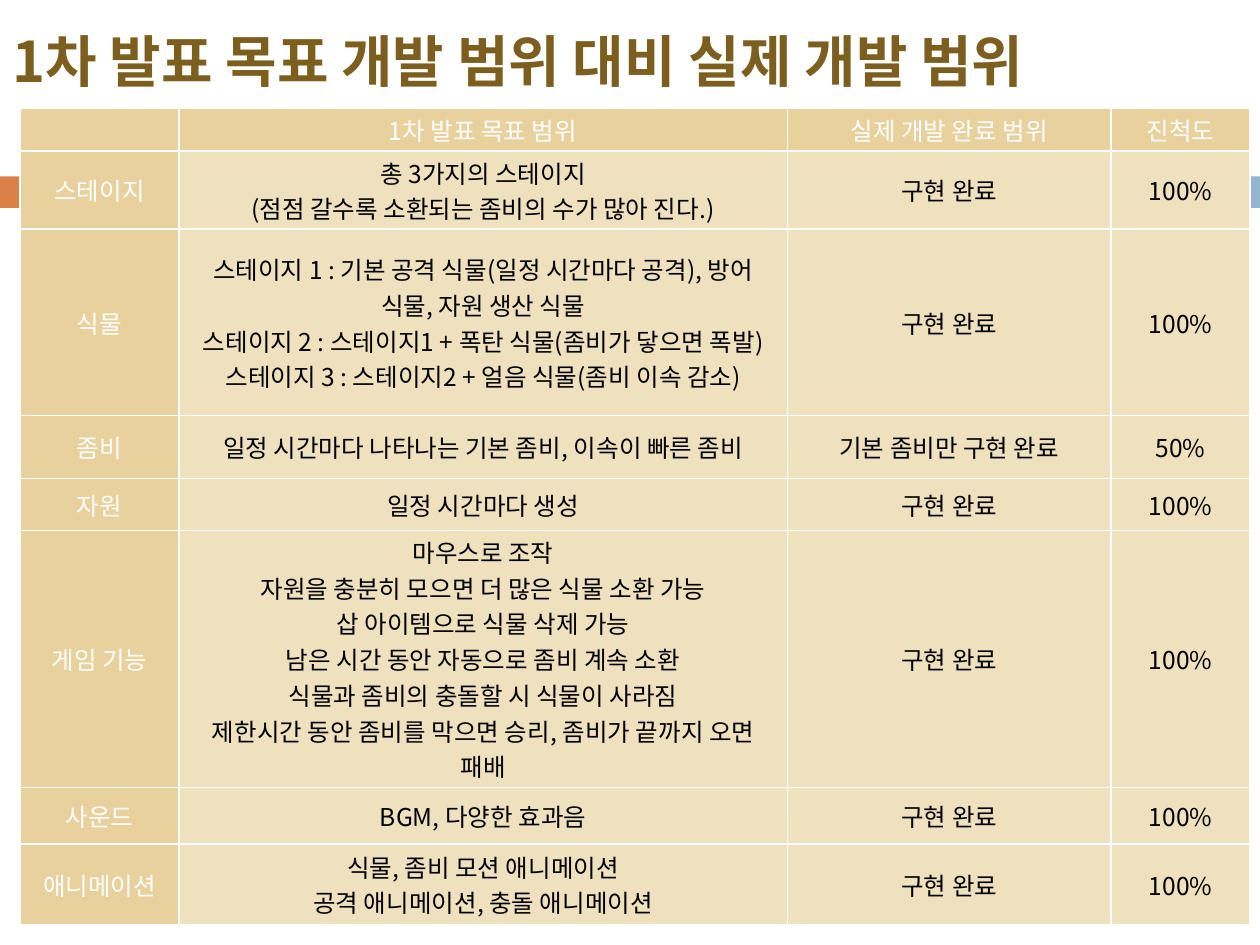
from pptx import Presentation
from pptx.dml.color import RGBColor as Rgb
from pptx.enum.shapes import MSO_SHAPE as Kind
from pptx.enum.text import MSO_ANCHOR as Anchor, MSO_AUTO_SIZE as Fit, PP_ALIGN as Align
from pptx.oxml import parse_xml as parse
from pptx.oxml.ns import nsdecls
from pptx.util import Inches, Pt

FONT = "Noto Sans CJK KR"
WHITE, BLACK = "FFFFFF", "000000"
HEAD, BODY = "E8D19D", "EFE0BE"
DONE = "구현 완료"
COLS = [1.26, 4.83, 2.57, 1.1]
ROWS = [
    (0.34, "", ["1차 발표 목표 범위"], "실제 개발 완료 범위", "진척도"),
    (0.62, "스테이지", ["총 3가지의 스테이지", "(점점 갈수록 소환되는 좀비의 수가 많아 진다.)"], DONE, "100%"),
    (1.48, "식물", [
        "스테이지 1 : 기본 공격 식물(일정 시간마다 공격), 방어 식물, 자원 생산 식물",
        "스테이지 2 : 스테이지1 + 폭탄 식물(좀비가 닿으면 폭발)",
        "스테이지 3 : 스테이지2 + 얼음 식물(좀비 이속 감소)",
    ], DONE, "100%"),
    (0.5, "좀비", ["일정 시간마다 나타나는 기본 좀비, 이속이 빠른 좀비"], "기본 좀비만 구현 완료", "50%"),
    (0.41, "자원", ["일정 시간마다 생성"], DONE, "100%"),
    (2.04, "게임 기능", [
        "마우스로 조작",
        "자원을 충분히 모으면 더 많은 식물 소환 가능",
        "삽 아이템으로 식물 삭제 가능",
        "남은 시간 동안 자동으로 좀비 계속 소환",
        "식물과 좀비의 충돌할 시 식물이 사라짐",
        "제한시간 동안 좀비를 막으면 승리, 좀비가 끝까지 오면 패배",
    ], DONE, "100%"),
    (0.45, "사운드", ["BGM, 다양한 효과음"], DONE, "100%"),
    (0.64, "애니메이션", ["식물, 좀비 모션 애니메이션", "공격 애니메이션, 충돌 애니메이션"], DONE, "100%"),
]


def paint(fill, color):
    fill.solid()
    fill.fore_color.rgb = Rgb.from_string(color)


def line(tag, color, width):
    return parse(
        f'<a:{tag} {nsdecls("a")} w="{Pt(width)}"><a:solidFill>'
        f'<a:srgbClr val="{color}"/></a:solidFill></a:{tag}>'
    )


def write(para, text, size, color, bold=False):
    run = para.add_run()
    run.text = text
    run.font.size = Pt(size)
    run.font.bold = bold
    run.font.name = FONT
    paint(run.font.fill, color)
    run.font._element.append(parse(f'<a:ea {nsdecls("a")} typeface="{FONT}"/>'))
    return run


def add_bar(slide, left, width, color):
    bar = slide.shapes.add_shape(Kind.RECTANGLE, Inches(left), Inches(1.4), Inches(width), Inches(0.25))
    bar.shadow.inherit = False
    paint(bar.fill, color)
    bar.line.fill.background()


def set_title(slide, text):
    title = slide.shapes.title
    title.left, title.top = Inches(0), Inches(0.16)
    title.width, title.height = Inches(10), Inches(0.64)
    frame = title.text_frame
    frame.word_wrap = True
    frame.auto_size = Fit.SHAPE_TO_FIT_TEXT
    frame.vertical_anchor = Anchor.TOP
    para = frame.paragraphs[0]
    para.alignment = Align.JUSTIFY
    props = para._p.get_or_add_pPr()
    props.set("marL", str(Inches(0.56)))
    props.set("indent", str(Inches(-0.56)))
    run = write(para, text, 32, "7C5F1E", True)
    run.font._element.insert(0, line("ln", "FEFEFE", 1.5))


def fill_cell(cell, lines, fill, color):
    cell.vertical_anchor = Anchor.MIDDLE
    cell.margin_top = cell.margin_bottom = Inches(0.02)
    cell.margin_left = cell.margin_right = Inches(0.12)
    frame = cell.text_frame
    for i, text in enumerate(lines):
        para = frame.paragraphs[0] if i == 0 else frame.add_paragraph()
        para.alignment = Align.CENTER
        if text:
            write(para, text, 14, color)
        else:
            para._p.append(parse(f'<a:endParaRPr {nsdecls("a")} sz="1400"/>'))
    props = cell._tc.get_or_add_tcPr()
    for tag in ("lnL", "lnR", "lnT", "lnB"):
        props.append(line(tag, WHITE, 1))
    paint(cell.fill, fill)


def add_grid(slide):
    frame = slide.shapes.add_table(
        len(ROWS), len(COLS), Inches(0.16), Inches(0.86), Inches(9.77), Inches(6.48)
    )
    table = frame.table
    for col, width in zip(table.columns, COLS):
        col.width = Inches(width)
    for r, (height, name, goal, real, rate) in enumerate(ROWS):
        table.rows[r].height = Inches(height)
        for c, lines in enumerate([[name], goal, [real], [rate]]):
            head = r == 0 or c == 0
            fill, color = (HEAD, WHITE) if head else (BODY, BLACK)
            fill_cell(table.cell(r, c), lines, fill, color)


def main():
    deck = Presentation()
    deck.slide_width, deck.slide_height = Inches(10), Inches(7.5)
    slide = deck.slides.add_slide(deck.slide_layouts[5])
    paint(slide.background.fill, WHITE)
    add_bar(slide, 0, 0.58, "DD8047")
    add_bar(slide, 0.65, 9.35, "94B6D2")
    set_title(slide, "1차 발표 목표 개발 범위 대비 실제 개발 범위")
    add_grid(slide)
    deck.save("out.pptx")


if __name__ == "__main__":
    main()
